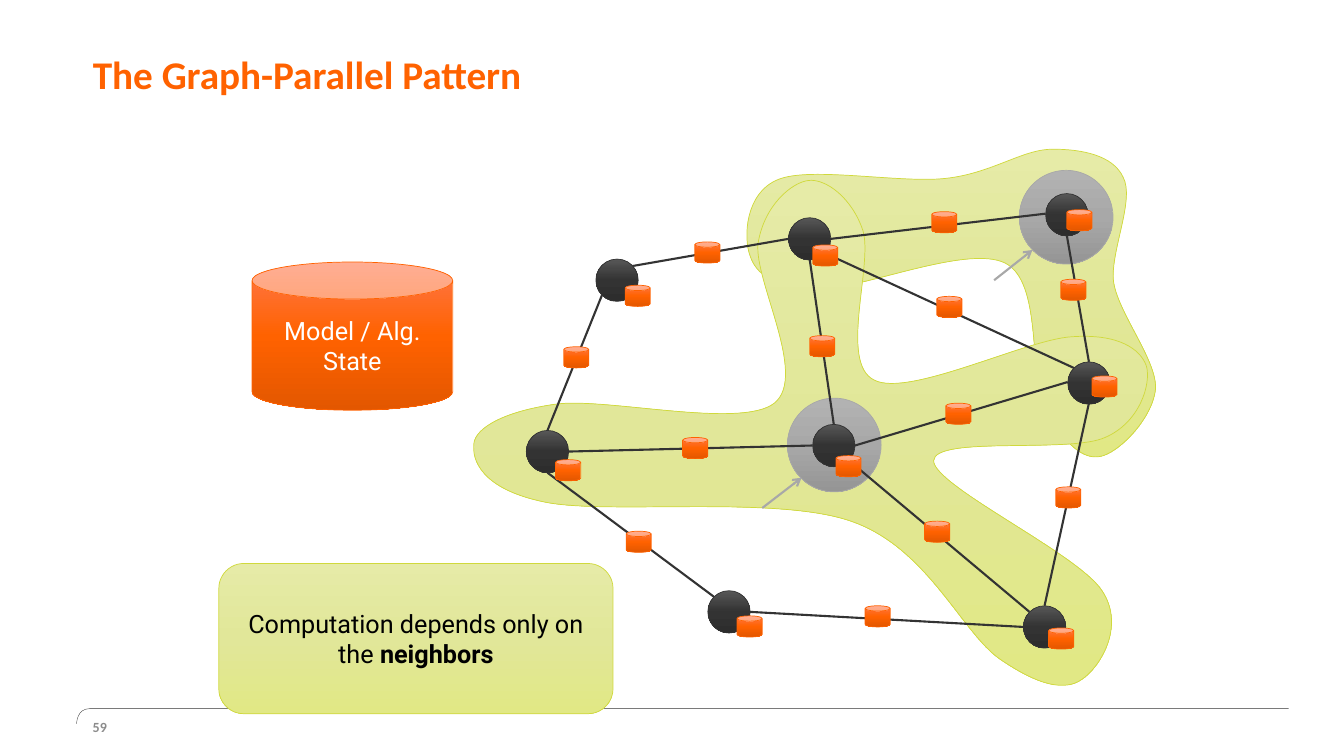
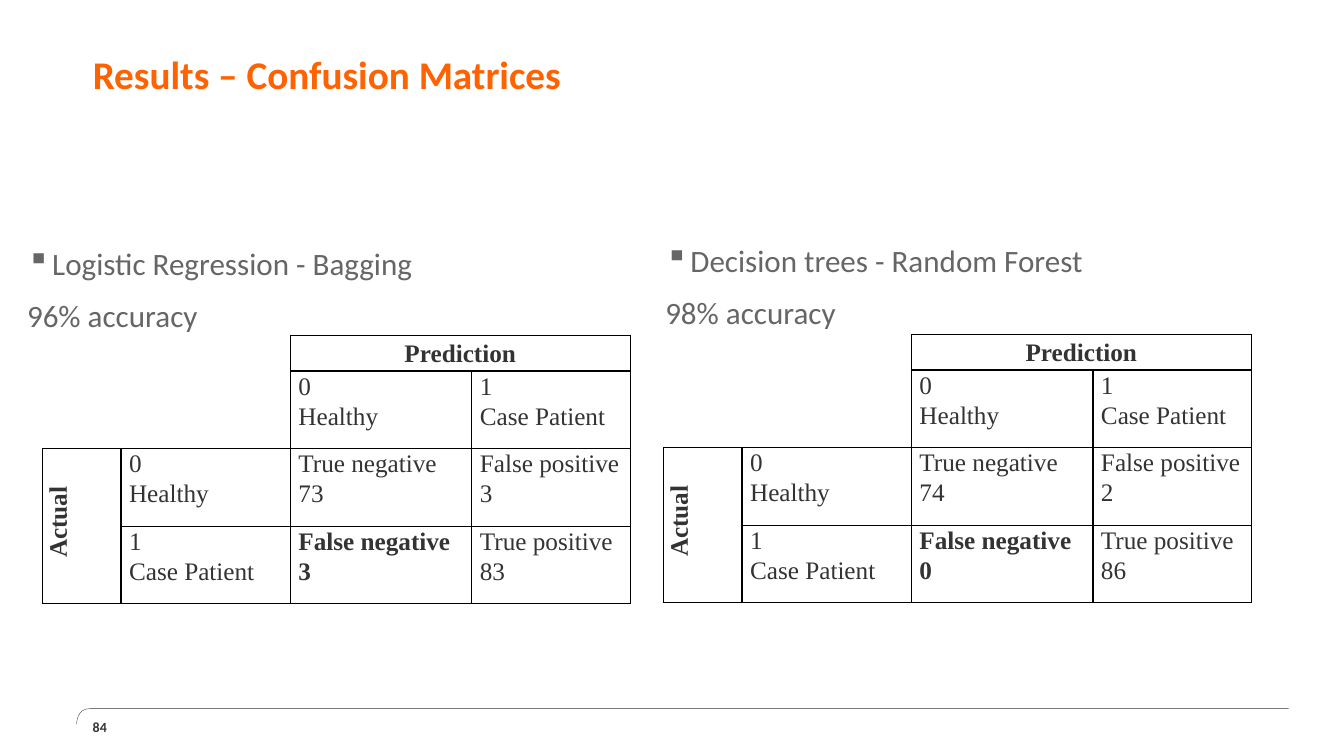
from copy import deepcopy
from dataclasses import dataclass
from typing import Any, NamedTuple, Optional

from pptx import Presentation
from pptx.dml.color import RGBColor
from pptx.enum.shapes import MSO_CONNECTOR, MSO_SHAPE
from pptx.enum.text import MSO_ANCHOR, MSO_AUTO_SIZE, PP_ALIGN
from pptx.oxml.ns import qn
from pptx.oxml.xmlchemy import OxmlElement
from pptx.util import Pt

PX = 9144  # 100 px to the inch
ELLIPSE, CAN, ROUNDED = MSO_SHAPE.OVAL, MSO_SHAPE.CAN, MSO_SHAPE.ROUNDED_RECTANGLE
STRAIGHT = MSO_CONNECTOR.STRAIGHT
TOP, MIDDLE = MSO_ANCHOR.TOP, MSO_ANCHOR.MIDDLE
LEFT, CENTER = PP_ALIGN.LEFT, PP_ALIGN.CENTER
NO_AUTOFIT = MSO_AUTO_SIZE.NONE
TITLE_ONLY = 5

Point = tuple[int, int]
Curve = tuple[Point, Point, Point]


class Box(NamedTuple):
    left: int
    top: int
    width: int
    height: int

    def emu(self) -> list[int]:
        return [value * PX for value in self]


class Paint(NamedTuple):
    stops: tuple[str, str, str]
    outline: str


class TextStyle(NamedTuple):
    name: str
    size: float
    color: str
    bold: bool = False


@dataclass(frozen=True)
class Theme:
    dark: str = "333333"
    muted: str = "8C8C8C"
    arrow: str = "A8A8A8"
    border: str = "000000"
    hairline: float = 0.25
    outline: float = 0.5
    edge: float = 1.5
    region: Paint = Paint(("E6EBA7", "E1E799", "E1E885"), "D0D93C")
    halo: Paint = Paint(("B2B2B2", "A8A8A8", "959595"), "A8A8A8")
    node: Paint = Paint(("575757", "333333", "2D2D2D"), "333333")
    state: Paint = Paint(("FF774B", "FF6200", "E35700"), "FF6200")
    title: TextStyle = TextStyle("Calibri", 28, "FF6200", True)
    body: TextStyle = TextStyle("Calibri", 22.2, "666666")
    number: TextStyle = TextStyle("Calibri", 10, "333333", True)
    on_state: TextStyle = TextStyle("Roboto", 18, "FFFFFF")
    on_region: TextStyle = TextStyle("Roboto", 18, "000000")
    cell: TextStyle = TextStyle("Times New Roman", 18, "333333")


THEME = Theme()
NO_MARGINS = dict(margin_left=0, margin_top=0, margin_right=0, margin_bottom=0)


# Content records
class Neighborhood(NamedTuple):
    start: Point
    curves: tuple[Curve, ...]
    halo: Point
    arrow_from: Point
    arrow_to: Point


class Edge(NamedTuple):
    start: Point
    end: Point
    state: Point


class Node(NamedTuple):
    corner: Point
    state: Point


class Matrix(NamedTuple):
    corner: Point
    caption: Box
    model: str
    accuracy: str
    counts: tuple[int, int, int, int]


NEIGHBORHOODS = (
    Neighborhood((1044, 148), (
        ((1014, 148), (984, 172), (938, 177)), ((893, 182), (804, 165), (772, 178)),
        ((739, 191), (737, 236), (744, 254)), ((750, 272), (767, 285), (810, 287)),
        ((852, 288), (959, 242), (997, 261)), ((1034, 280), (1020, 370), (1036, 402)),
        ((1051, 434), (1071, 456), (1090, 453)), ((1108, 451), (1143, 416), (1146, 386)),
        ((1148, 356), (1104, 305), (1104, 274)), ((1104, 243), (1125, 197), (1114, 176)),
        ((1104, 154), (1073, 148), (1044, 148)),
    ), (1011, 169), (986, 278), (1024, 248)),
    Neighborhood((768, 400), (
        ((802, 373), (747, 277), (752, 241)), ((758, 204), (785, 181), (802, 179)),
        ((819, 177), (845, 196), (856, 229)), ((866, 263), (832, 360), (867, 377)),
        ((901, 395), (1019, 336), (1064, 334)), ((1109, 331), (1131, 346), (1137, 363)),
        ((1142, 380), (1131, 419), (1096, 434)), ((1061, 450), (927, 432), (926, 457)),
        ((926, 482), (1069, 549), (1093, 586)), ((1117, 622), (1090, 663), (1073, 674)),
        ((1056, 686), (1030, 680), (992, 654)), ((954, 628), (920, 543), (844, 517)),
        ((769, 491), (602, 511), (540, 498)), ((477, 485), (468, 456), (470, 440)),
        ((472, 424), (501, 408), (551, 401)), ((601, 394), (735, 426), (768, 400)),
    ), (781, 395), (756, 504), (795, 474)),
)
EDGES = (
    Edge((827, 421), (803, 257), (803, 333)),
    Edge((563, 448), (806, 442), (677, 434)),
    Edge((848, 442), (1059, 379), (938, 400)),
    Edge((841, 456), (1021, 607), (917, 517)),
    Edge((743, 607), (1015, 622), (858, 601)),
    Edge((782, 237), (627, 264), (689, 240)),
    Edge((708, 592), (543, 469), (621, 527)),
    Edge((597, 293), (543, 427), (559, 344)),
    Edge((1036, 601), (1080, 400), (1047, 483)),
    Edge((1037, 212), (824, 237), (924, 210)),
    Edge((818, 251), (1065, 365), (929, 294)),
    Edge((1058, 233), (1080, 359), (1052, 277)),
)
NODES = (
    Node((1059, 359), (1083, 373)),
    Node((522, 427), (551, 456)),
    Node((782, 216), (806, 243)),
    Node((806, 421), (829, 452)),
    Node((1015, 601), (1040, 623)),
    Node((591, 257), (620, 283)),
    Node((702, 586), (731, 611)),
    Node((1037, 192), (1058, 208)),
)
MATRICES = (
    Matrix((42, 333), Box(17, 248, 633, 92), "Logistic Regression - Bagging",
           "96% accuracy", (73, 3, 3, 83)),
    Matrix((658, 332), Box(650, 245, 633, 92), "Decision trees - Random Forest",
           "98% accuracy", (74, 2, 0, 86)),
)
COLUMN_WIDTHS = (78, 168, 180, 157)
ROW_HEIGHTS = (35, 77, 77, 77)
MERGES = (((0, 0), (1, 1)), ((0, 2), (0, 3)), ((2, 0), (3, 0)))


# Formatting helpers
def rgb(color: str) -> RGBColor:
    return RGBColor.from_string(color)


def set_attributes(target: Any, values: dict[str, Any]) -> None:
    for name, value in values.items():
        setattr(target, name, value)


def add_run(paragraph: Any, text: str, style: TextStyle) -> None:
    run = paragraph.add_run()
    run.text = text
    set_attributes(run.font, dict(name=style.name, size=Pt(style.size), bold=style.bold))
    run.font.color.rgb = rgb(style.color)


def write_lines(frame: Any, lines: tuple[str, ...], style: TextStyle, **values: Any) -> None:
    for index, line in enumerate(lines):
        paragraph = frame.add_paragraph() if index else frame.paragraphs[0]
        set_attributes(paragraph, values)
        add_run(paragraph, line, style)


def set_outline(shape: Any, color: str, width: float) -> None:
    shape.line.color.rgb = rgb(color)
    shape.line.width = Pt(width)


def paint_shape(shape: Any, paint: Paint) -> None:
    shape.shadow.inherit = False
    shape.fill.gradient()
    shape.fill.gradient_angle = 270
    stop_list = shape._element.spPr.find(qn("a:gradFill")).find(qn("a:gsLst"))
    stop_list.append(deepcopy(stop_list[0]))
    for index, (stop, color) in enumerate(zip(shape.fill.gradient_stops, paint.stops)):
        stop.position = index / 2
        stop.color.rgb = rgb(color)
    set_outline(shape, paint.outline, THEME.outline)


# Drawing helpers
def add_painted(slide: Any, preset: Any, box: Box, paint: Paint) -> Any:
    shape = slide.shapes.add_shape(preset, *box.emu())
    paint_shape(shape, paint)
    set_attributes(shape.text_frame, dict(word_wrap=True, vertical_anchor=MIDDLE))
    return shape


def add_state(slide: Any, corner: Point) -> None:
    add_painted(slide, CAN, Box(*corner, 25, 21), THEME.state)


def add_line(slide: Any, start: Point, end: Point, color: str, arrow: bool = False) -> None:
    ends = [value * PX for value in (*start, *end)]
    connector = slide.shapes.add_connector(STRAIGHT, *ends)
    set_outline(connector, color, THEME.edge)
    properties = connector._element.spPr
    if arrow:
        head = OxmlElement("a:tailEnd")
        head.set("type", "arrow")
        properties.find(qn("a:ln")).append(head)
    properties.append(OxmlElement("a:effectLst"))


def add_curved(slide: Any, start: Point, curves: tuple[Curve, ...], close: bool) -> Any:
    """Build the outline from its anchors, then bend each segment."""
    anchors = [curve[-1] for curve in curves]
    builder = slide.shapes.build_freeform(*start, scale=PX)
    builder.add_line_segments(anchors, close=close)
    shape = builder.convert_to_shape()
    left, top = (min(values) for values in zip(start, *anchors))
    segments = list(shape._element.iter(qn("a:lnTo")))
    for segment, curve in zip(segments, curves):
        bend = OxmlElement("a:cubicBezTo")
        for x, y in curve:
            point = OxmlElement("a:pt")
            point.set("x", str(x - left))
            point.set("y", str(y - top))
            bend.append(point)
        segment.getparent().replace(segment, bend)
    return shape


def add_text_box(slide: Any, box: Box, **values: Any) -> Any:
    frame = slide.shapes.add_textbox(*box.emu()).text_frame
    set_attributes(frame, dict(word_wrap=True, auto_size=NO_AUTOFIT, **values))
    return frame


def add_titled_slide(presentation: Any, title: str, number: str,
                     number_color: str = THEME.dark) -> Any:
    slide = presentation.slides.add_slide(presentation.slide_layouts[TITLE_ONLY])
    # Footer band
    band = add_curved(slide, (1278, 703), (
        ((89, 703), (89, 703), (89, 703)), ((76, 703), (76, 718), (76, 718))), False)
    band.shadow.inherit = False
    band.fill.background()
    set_outline(band, THEME.dark, THEME.hairline)
    # Title
    placeholder = slide.shapes.title
    position = Box(92, 31, 1147, 93).emu()
    set_attributes(placeholder, dict(zip(Box._fields, position)))
    frame = placeholder.text_frame
    set_attributes(frame, dict(NO_MARGINS, word_wrap=True, auto_size=NO_AUTOFIT,
                               vertical_anchor=MIDDLE))
    write_lines(frame, (title,), THEME.title, alignment=LEFT, line_spacing=Pt(28))
    # Slide number
    frame = add_text_box(slide, Box(92, 711, 54, 21), vertical_anchor=MIDDLE, **NO_MARGINS)
    write_lines(frame, (number,), THEME.number._replace(color=number_color))
    return slide


# Confusion matrix
def set_borders(cell: Any, hidden: tuple[str, ...]) -> None:
    properties = cell._tc.get_or_add_tcPr()
    for side in ("L", "R", "T", "B"):
        line = OxmlElement(f"a:ln{side}")
        line.set("w", str(Pt(1)))
        fill = OxmlElement("a:noFill" if side in hidden else "a:solidFill")
        if side not in hidden:
            color = OxmlElement("a:srgbClr")
            color.set("val", THEME.border)
            fill.append(color)
        line.append(fill)
        properties.append(line)


def fill_cell(cell: Any, text: Optional[str], heading: bool, bold: bool) -> None:
    set_attributes(cell, dict(margin_left=8 * PX, margin_right=8 * PX, margin_top=0,
                              margin_bottom=0, vertical_anchor=MIDDLE if heading else TOP))
    if text:
        write_lines(cell.text_frame, tuple(text.split("\n")), THEME.cell._replace(bold=bold),
                    alignment=CENTER if heading else LEFT, line_spacing=1.07)


def add_matrix(slide: Any, matrix: Matrix) -> None:
    true_negative, false_positive, false_negative, true_positive = matrix.counts
    healthy, patient = "0\nHealthy", "1\nCase Patient"
    texts = (
        (None, None, "Prediction", None),
        (None, None, healthy, patient),
        ("Actual", healthy, f"True negative\n{true_negative}",
         f"False positive\n{false_positive}"),
        (None, patient, f"False negative\n{false_negative}", f"True positive\n{true_positive}"),
    )
    box = Box(*matrix.corner, sum(COLUMN_WIDTHS), sum(ROW_HEIGHTS))
    table = slide.shapes.add_table(len(texts), len(texts[0]), *box.emu()).table
    set_attributes(table, dict(first_row=False, horz_banding=False))
    for column, width in zip(table.columns, COLUMN_WIDTHS):
        column.width = width * PX
    for row, height in zip(table.rows, ROW_HEIGHTS):
        row.height = height * PX
    for row_index, row_texts in enumerate(texts):
        for column_index, text in enumerate(row_texts):
            cell = table.cell(row_index, column_index)
            in_corner = row_index < 2 and column_index < 2
            set_borders(cell, ("L", "T") if in_corner else ())
            cell.fill.background()
            heading = text in ("Prediction", "Actual")
            fill_cell(cell, text, heading, heading or (row_index, column_index) == (3, 2))
    for first, last in MERGES:
        table.cell(*first).merge(table.cell(*last))
    actual = table.cell(2, 0)
    actual._tc.get_or_add_tcPr().set("vert", "vert270")
    actual.text_frame.paragraphs[0]._p.get_or_add_pPr().set("marL", str(8 * PX))


def add_caption(slide: Any, matrix: Matrix) -> None:
    frame = add_text_box(slide, matrix.caption)
    write_lines(frame, (matrix.model, matrix.accuracy), THEME.body, line_spacing=0.7)
    model, accuracy = frame.paragraphs
    accuracy.space_before = Pt(18)
    properties = model._p.get_or_add_pPr()
    properties.set("marL", str(25 * PX))
    properties.set("indent", str(-25 * PX))
    bullet = OxmlElement("a:buChar")
    bullet.set("char", "▪")
    properties.append(bullet)


# Slides
def build_graph_slide(presentation: Any) -> None:
    slide = add_titled_slide(presentation, "The Graph-Parallel Pattern", "59", THEME.muted)
    for area in NEIGHBORHOODS:
        paint_shape(add_curved(slide, area.start, area.curves, True), THEME.region)
        add_painted(slide, ELLIPSE, Box(*area.halo, 93, 93), THEME.halo)
        add_line(slide, area.arrow_from, area.arrow_to, THEME.arrow, arrow=True)
    for edge in EDGES:
        add_line(slide, edge.start, edge.end, THEME.dark)
    for node in NODES:
        add_painted(slide, ELLIPSE, Box(*node.corner, 42, 42), THEME.node)
    for item in (*NODES, *EDGES):
        add_state(slide, item.state)
    model = add_painted(slide, CAN, Box(250, 260, 199, 147), THEME.state)
    write_lines(model.text_frame, ("Model / Alg.", "State"), THEME.on_state, alignment=CENTER)
    note = add_painted(slide, ROUNDED, Box(217, 559, 391, 149), THEME.region).text_frame
    write_lines(note, ("Computation depends only on the ",), THEME.on_region, alignment=CENTER)
    add_run(note.paragraphs[0], "neighbors", THEME.on_region._replace(bold=True))


def build_results_slide(presentation: Any) -> None:
    slide = add_titled_slide(presentation, "Results – Confusion Matrices", "84")
    for matrix in MATRICES:
        add_matrix(slide, matrix)
        add_caption(slide, matrix)


def main() -> None:
    presentation = Presentation()
    set_attributes(presentation, dict(slide_width=1333 * PX, slide_height=750 * PX))
    build_graph_slide(presentation)
    build_results_slide(presentation)
    presentation.save("out.pptx")


if __name__ == "__main__":
    main()
